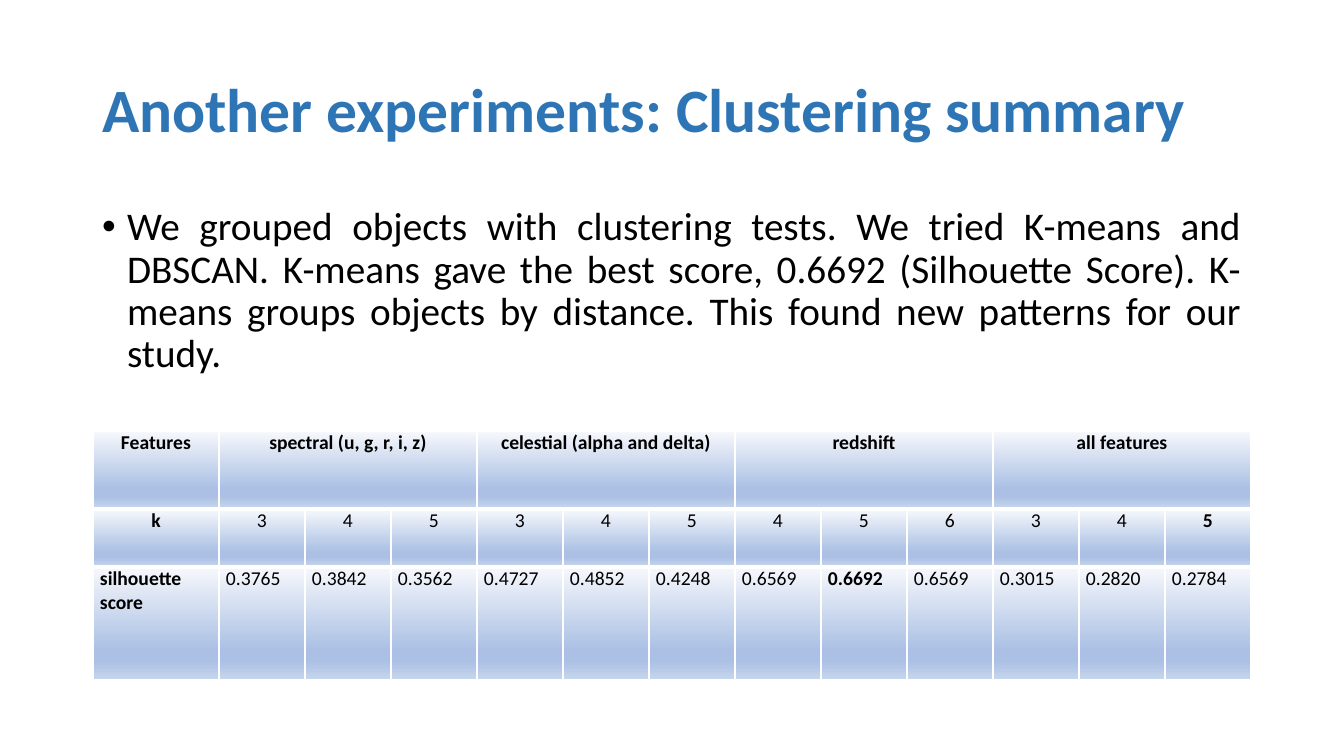
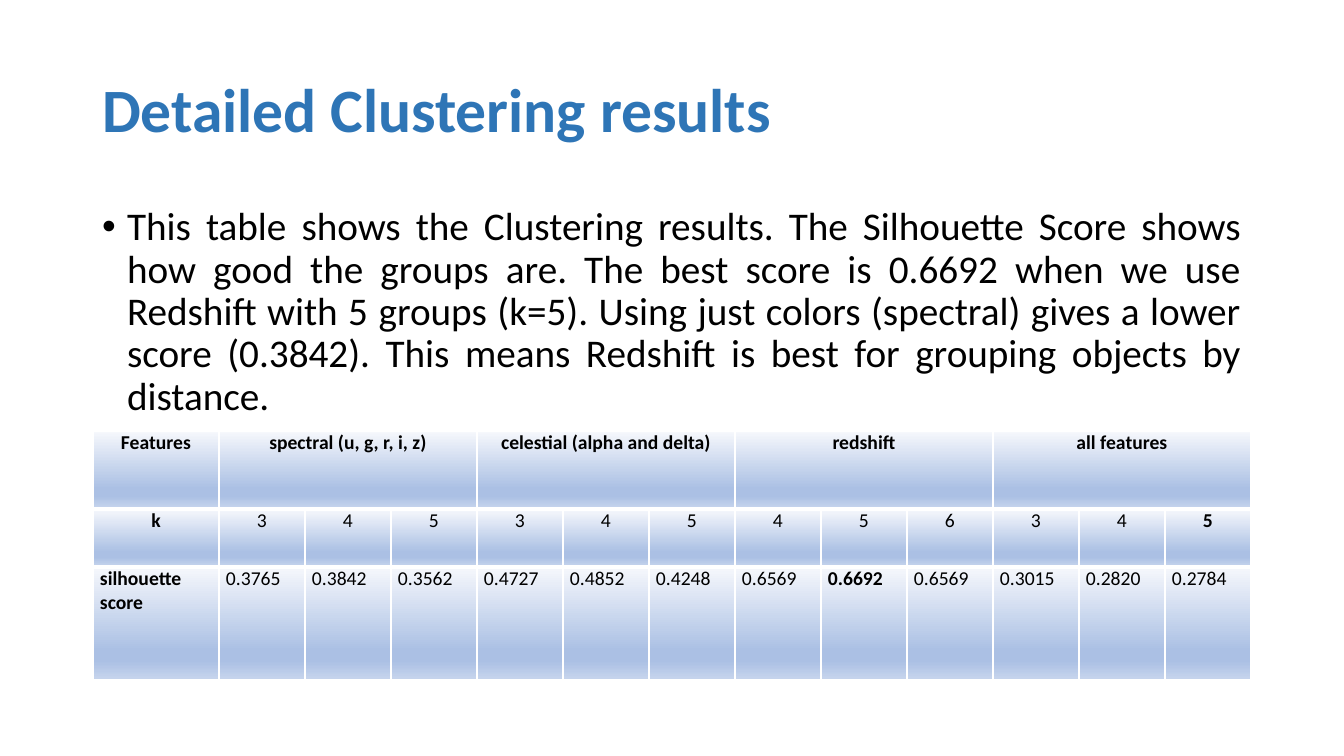
from lxml.etree import SubElement
from pptx import Presentation
from pptx.dml.color import RGBColor
from pptx.enum.text import MSO_ANCHOR, MSO_AUTO_SIZE, PP_ALIGN as Align
from pptx.oxml.ns import qn
from pptx.util import Emu, Pt

SLIDES = [
    ("Another experiments: Clustering summary",
     "We grouped objects with clustering tests. We tried K-means and DBSCAN. "
     "K-means gave the best score, 0.6692 (Silhouette Score). K-means groups "
     "objects by distance. This found new patterns for our study."),
    ("Detailed Clustering results",
     "This table shows the Clustering results. The Silhouette Score shows how "
     "good the groups are. The best score is 0.6692 when we use Redshift with "
     "5 groups (k=5). Using just colors (spectral) gives a lower score (0.3842). "
     "This means Redshift is best for grouping objects by distance."),
]
ROW_LABELS = ["Features", "k", "silhouette score"]
FEATURE_GROUPS = [
    ("spectral (u, g, r, i, z)", ["3", "4", "5"], ["0.3765", "0.3842", "0.3562"]),
    ("celestial (alpha and delta)", ["3", "4", "5"], ["0.4727", "0.4852", "0.4248"]),
    ("redshift", ["4", "5", "6"], ["0.6569", "0.6692", "0.6569"]),
    ("all features", ["3", "4", "5"], ["0.3015", "0.2820", "0.2784"]),
]
BOLD_VALUES = {(1, 12), (2, 8)}  # (row, column)

FONT = "Calibri"
COLORS = {"title": "2E75B6", "text": "000000", "border": "FFFFFF",
          "light": "F6F8FC", "deep": "ABC0E4", "soft": "C7D5ED"}
CELL_GRADIENT = [(0, "light"), (74, "deep"), (83, "deep"), (100, "soft")]

SLIDE_W, SLIDE_H = 1344, 756
TITLE_BOX = (92, 40, 1159, 146)
BODY_BOX = (92, 202, 1159, 480)
TABLE_LEFT, TABLE_TOP = 93, 431
LABEL_W, VALUE_W = 126, 86
ROW_HEIGHTS = [78, 58, 113]
GROUP_SIZE = 3
BULLET_INDENT = 25
CELL_INSET = 7


def px(length):
    return Emu(round(length * 12192000 / SLIDE_W))


def add_span(para, text, size, color, bold=False):
    span = para.add_run()
    span.text = text
    span.font.name = FONT
    span.font.size = Pt(size)
    span.font.bold = bold
    span.font.color.rgb = RGBColor.from_string(COLORS[color])


def fill_placeholder(holder, box, text, align, anchor, size, color, bold=False):
    """Move a placeholder, write its one paragraph and return that paragraph."""
    holder.left, holder.top, holder.width, holder.height = map(px, box)
    frame = holder.text_frame
    frame.word_wrap = True
    frame.auto_size = MSO_AUTO_SIZE.NONE
    frame.vertical_anchor = anchor
    para = frame.paragraphs[0]
    para.alignment = align
    para.line_spacing = 0.9
    para.space_before = Pt(0)
    add_span(para, text, size, color, bold)
    return para


def add_bullet(para):
    props = para._p.get_or_add_pPr()
    props.set("marL", str(px(BULLET_INDENT)))
    props.set("indent", str(-px(BULLET_INDENT)))
    SubElement(props, qn("a:buFont"), typeface="Arial")
    SubElement(props, qn("a:buChar"), char="•")


def add_color(parent, color):
    SubElement(parent, qn("a:srgbClr"), val=COLORS[color])


def paint_cell(cell, top, bottom):
    """Give a cell its borders (widths in points) and vertical gradient."""
    props = cell._tc.get_or_add_tcPr()
    for side, width in (("L", 1), ("R", 1), ("T", top), ("B", bottom)):
        line = SubElement(props, qn(f"a:ln{side}"), w=str(Pt(width)))
        add_color(SubElement(line, qn("a:solidFill")), "border")
    gradient = SubElement(props, qn("a:gradFill"), rotWithShape="1")
    stops = SubElement(gradient, qn("a:gsLst"))
    for position, color in CELL_GRADIENT:
        add_color(SubElement(stops, qn("a:gs"), pos=str(position * 1000)), color)
    SubElement(gradient, qn("a:lin"), ang="5400000", scaled="0")


def table_rows():
    """Expand the groups into full rows; None stands for a spanned cell."""
    rows = [[label] for label in ROW_LABELS]
    for name, counts, scores in FEATURE_GROUPS:
        rows[0] += [name] + [None] * (GROUP_SIZE - 1)
        rows[1] += counts
        rows[2] += scores
    return rows


def add_score_table(page):
    rows = table_rows()
    widths = [LABEL_W] + [VALUE_W] * (len(rows[0]) - 1)
    table = page.shapes.add_table(
        len(rows), len(widths), px(TABLE_LEFT), px(TABLE_TOP),
        px(sum(widths)), px(sum(ROW_HEIGHTS))).table
    table.first_row = table.horz_banding = False
    for column, width in zip(table.columns, widths):
        column.width = px(width)
    for row, height in zip(table.rows, ROW_HEIGHTS):
        row.height = px(height)

    last = len(rows) - 1
    for r, row in enumerate(rows):
        for c, text in enumerate(row):
            cell = table.cell(r, c)
            cell.margin_left = cell.margin_right = px(CELL_INSET)
            cell.margin_top = cell.margin_bottom = 0
            paint_cell(cell, top=3 if r else 1, bottom=3 if r < last else 1)
            if text is None:
                continue
            para = cell.text_frame.paragraphs[0]
            para.alignment = Align.JUSTIFY if r == last else Align.CENTER
            bold = r == 0 or c == 0 or (r, c) in BOLD_VALUES
            add_span(para, text, 14, "text", bold)
    for c in range(1, len(widths), GROUP_SIZE):
        table.cell(0, c).merge(table.cell(0, c + GROUP_SIZE - 1))


def main():
    deck = Presentation()
    deck.slide_width, deck.slide_height = px(SLIDE_W), px(SLIDE_H)
    for title, body in SLIDES:
        page = deck.slides.add_slide(deck.slide_layouts[1])
        fill_placeholder(page.shapes.title, TITLE_BOX, title, Align.LEFT,
                         MSO_ANCHOR.MIDDLE, 44, "title", bold=True)
        para = fill_placeholder(page.placeholders[1], BODY_BOX, body,
                                Align.JUSTIFY, MSO_ANCHOR.TOP, 28, "text")
        add_bullet(para)
        add_score_table(page)
    deck.save("out.pptx")


if __name__ == "__main__":
    main()
